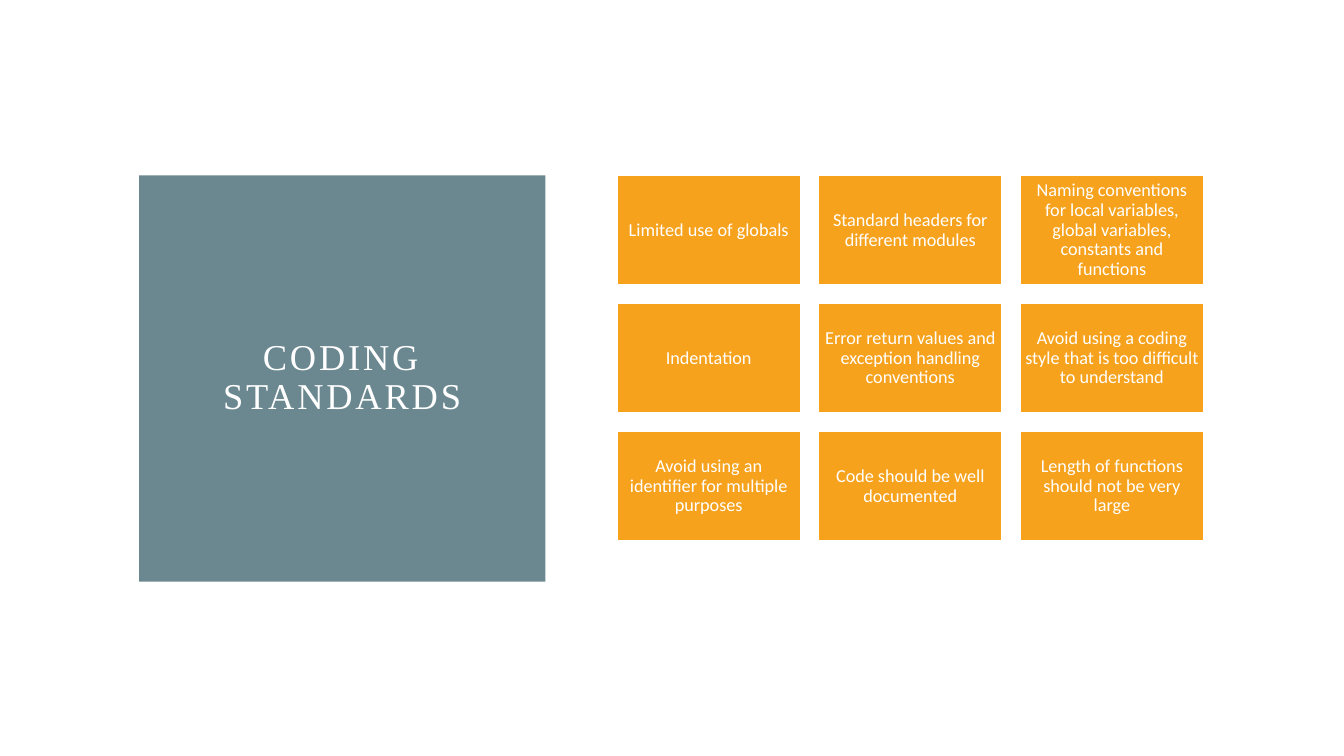
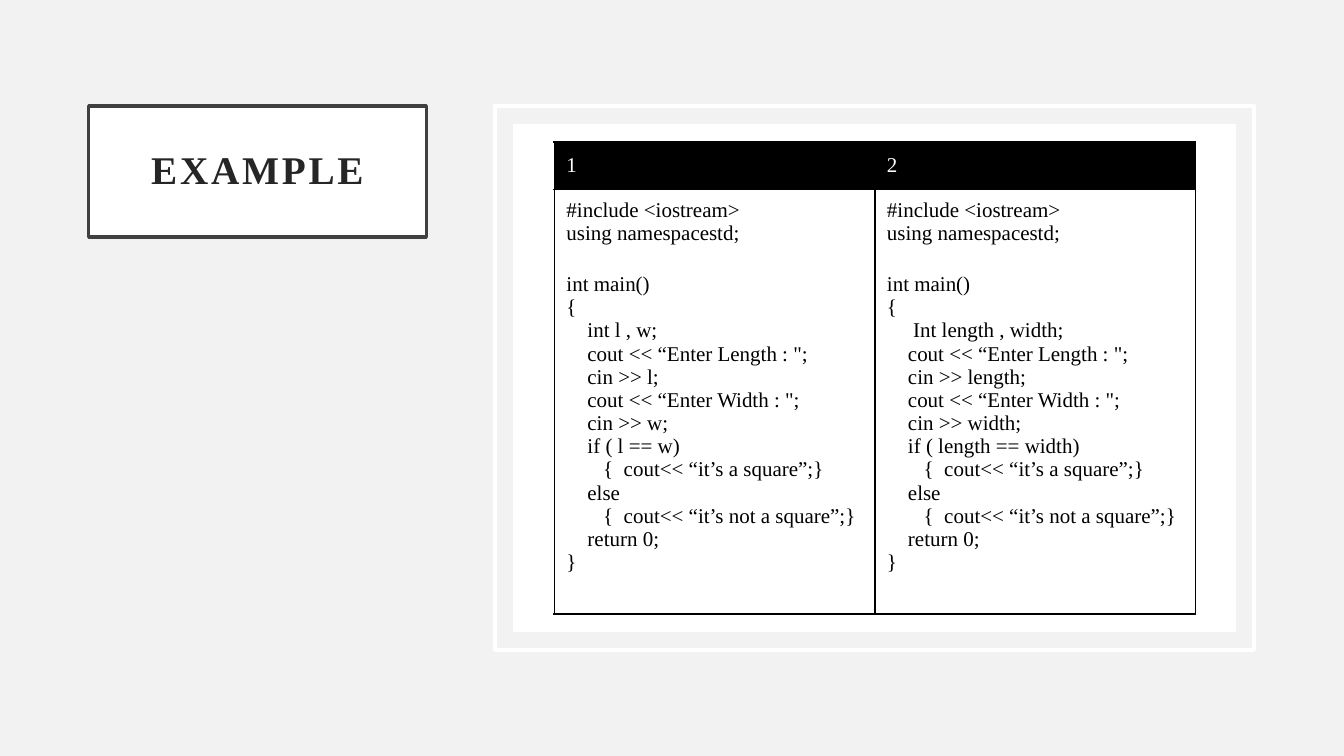
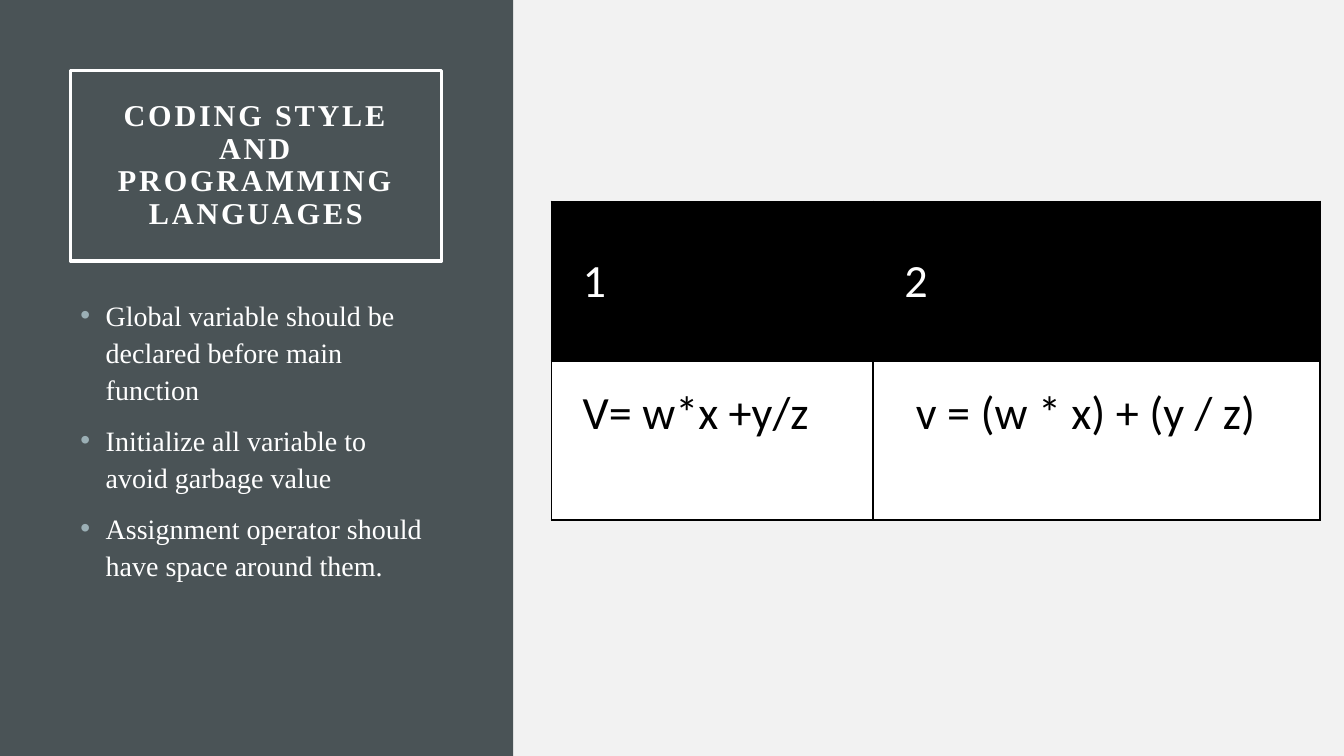
from itertools import repeat

from lxml import etree
from pptx import Presentation
from pptx.dml.color import RGBColor
from pptx.enum.shapes import MSO_SHAPE
from pptx.enum.text import MSO_ANCHOR, PP_ALIGN
from pptx.oxml.ns import qn
from pptx.util import Inches, Pt

RECT = MSO_SHAPE.RECTANGLE
MID, TOP = MSO_ANCHOR.MIDDLE, MSO_ANCHOR.TOP
LEFT, MIDST = PP_ALIGN.LEFT, PP_ALIGN.CENTER
SERIF, SANS = "Times New Roman", "Calibri"
HUES = {
    "white": "FFFFFF", "black": "000000", "pale": "F2F2F2",
    "teal": "6B8891", "slate": "4A5356", "gold": "F6A21D",
    "ink": "262626", "edge": "404040", "mist": "9BAFB5",
}
COLS, ROWS = 13.333 / 100, 7.5 / 100
HEAD = dict(font=SERIF, track=2, inset=(0.2,) * 4, lead=0.9)


def write(frame, lines, size=18, font=SANS, hue="white", bold=False, track=0,
          align=MIDST, anchor=MID, inset=(0.1, 0.05, 0.1, 0.05), lead=1.0,
          depths=repeat(0), gaps=repeat(0), mark=None):
    frame.word_wrap = True
    frame.vertical_anchor = anchor
    frame.margin_left, frame.margin_top, frame.margin_right, frame.margin_bottom = map(Inches, inset)
    for spot, (line, depth, gap) in enumerate(zip(lines, depths, gaps)):
        para = frame.add_paragraph() if spot else frame.paragraphs[0]
        para.alignment, para.line_spacing, para.space_before = align, lead, Pt(gap)
        run = para.add_run()
        run.text = line
        run.font.size, run.font.name, run.font.bold = Pt(size), font, bold
        run.font.color.rgb = RGBColor.from_string(HUES[hue])
        if track:
            run.font._element.set("spc", str(track * 100))
        props = para._p.get_or_add_pPr()
        if depth:
            props.set("marL", str(Pt(depth * size / 4)))
        if mark:
            props.set("marL", str(Inches(0.25)))
            props.set("indent", str(-Inches(0.25)))
            tint = etree.SubElement(props, qn("a:buClr"))
            etree.SubElement(tint, qn("a:srgbClr"), val=HUES[mark])
            etree.SubElement(props, qn("a:buFont"), typeface="Arial")
            etree.SubElement(props, qn("a:buChar"), char="•")


def block(slide, left, top, wide, high, fill=None, line=None, width=2.5, lines=(), **style):
    shape = slide.shapes.add_shape(RECT, Inches(left * COLS), Inches(top * ROWS),
                                   Inches(wide * COLS), Inches(high * ROWS))
    shape.shadow.inherit = False
    if fill:
        shape.fill.solid()
        shape.fill.fore_color.rgb = RGBColor.from_string(HUES[fill])
    else:
        shape.fill.background()
    if line:
        shape.line.color.rgb = RGBColor.from_string(HUES[line])
        shape.line.width = Pt(width)
    else:
        shape.line.fill.background()
    write(shape.text_frame, lines, **style)


deck = Presentation()
deck.slide_width, deck.slide_height = Inches(100 * COLS), Inches(100 * ROWS)
slides = []
for ground in ("white", "pale", "pale"):
    slide = deck.slides.add_slide(deck.slide_layouts[6])
    slide.background.fill.solid()
    slide.background.fill.fore_color.rgb = RGBColor.from_string(HUES[ground])
    slides.append(slide)
rules, sample, style = slides

block(rules, 10.35, 23.2, 30.23, 53.73, fill="teal", lines=["CODING STANDARDS"], size=26, **HEAD)
tiles = [
    "Limited use of globals",
    "Standard headers for different modules",
    "Naming conventions for local variables, global variables, constants and functions",
    "Indentation",
    "Error return values and exception handling conventions",
    "Avoid using a coding style that is too difficult to understand",
    "Avoid using an identifier for multiple purposes",
    "Code should be well documented",
    "Length of functions should not be very large",
]
for spot, tile in enumerate(tiles):
    row, col = divmod(spot, 3)
    block(rules, 45.9 + 15 * col, 23.2 + 16.93 * row, 13.65, 14.53, fill="gold", line="white",
          width=1, lines=[tile], size=13, inset=(0.05,) * 4, lead=0.9)

block(sample, 6.6, 14, 25.13, 17.33, fill="white", line="edge", lines=["EXAMPLE"],
      size=28, hue="ink", bold=True, **HEAD)
block(sample, 36.83, 14, 56.48, 72, line="white")
block(sample, 38.18, 16.4, 53.78, 67.2, fill="white")

block(style, 0, 0, 38.18, 100, fill="slate")
block(style, 5.25, 9.33, 27.6, 25.2, line="white",
      lines=["CODING STYLE AND PROGRAMMING LANGUAGES"], size=21.6, bold=True, **HEAD)
block(style, 5.25, 38.4, 27.6, 49.87, lines=[
    "Global variable should be declared before main function",
    "Initialize all variable to avoid garbage value",
    "Assignment operator should have space around them.",
], size=20, font=SERIF, align=LEFT, anchor=TOP, lead=1.1, gaps=(0, 10, 10), mark="mist")

codes = []
for kind, long, wide, shift in (("int", "l", "w", 4), ("Int", "length", "width", 5)):
    codes.append(([
        "#include <iostream>",
        "using namespacestd;",
        "int main()",
        "{",
        f"{kind} {long} , {wide};",
        'cout << “Enter Length : ";',
        f"cin >> {long};",
        'cout << “Enter Width : ";',
        f"cin >> {wide};",
        f"if ( {long} == {wide})",
        "{  cout<< “it’s a square”;}",
        "else",
        "{  cout<< “it’s not a square”;}",
        "return 0;",
        "}",
    ], (0, 0, 0, 0, shift, 4, 4, 4, 4, 4, 7, 4, 7, 4, 0)))
sums = [(["V= w*x +y/z"], [0]), (["v = (w * x) + (y / z)"], [1])]

grids = [
    (sample, 41.25, 18.8, (23.85, 23.85), (6.27, 56.13), codes,
     dict(size=15, font=SERIF, inset=(0.12, 0.09, 0.06, 0.09))),
    (style, 41.03, 26.67, (23.93, 33.23), (21.07, 21.07), sums,
     dict(size=33, font=SANS, inset=(0.31, 0.24, 0.24, 0.24))),
]
for slide, left, top, wides, highs, texts, look in grids:
    table = slide.shapes.add_table(2, 2, Inches(left * COLS), Inches(top * ROWS),
                                   Inches(sum(wides) * COLS), Inches(sum(highs) * ROWS)).table
    for spot in range(2):
        table.columns[spot].width = Inches(wides[spot] * COLS)
        table.rows[spot].height = Inches(highs[spot] * ROWS)
    for col, (lines, depths) in enumerate(texts):
        pair = (
            ("black", "white", MID, [str(col + 1)], [0]),
            ("white", "black", TOP, lines, depths),
        )
        for row, (fill, hue, anchor, words, steps) in enumerate(pair):
            cell = table.cell(row, col)
            cell.fill.solid()
            cell.fill.fore_color.rgb = RGBColor.from_string(HUES[fill])
            write(cell.text_frame, words, hue=hue, align=LEFT, depths=steps,
                  gaps=[20 if word == "int main()" else 0 for word in words], **look)
            cell.vertical_anchor = anchor
            cell.margin_left, cell.margin_top, cell.margin_right, cell.margin_bottom = map(Inches, look["inset"])
            props = cell._tc.get_or_add_tcPr()
            for spot, side in enumerate(("a:lnL", "a:lnR", "a:lnT", "a:lnB")):
                edge = etree.Element(qn(side), w=str(Pt(1.5)))
                paint = etree.SubElement(edge, qn("a:solidFill"))
                etree.SubElement(paint, qn("a:srgbClr"), val=HUES["black"])
                props.insert(spot, edge)

deck.save("out.pptx")
